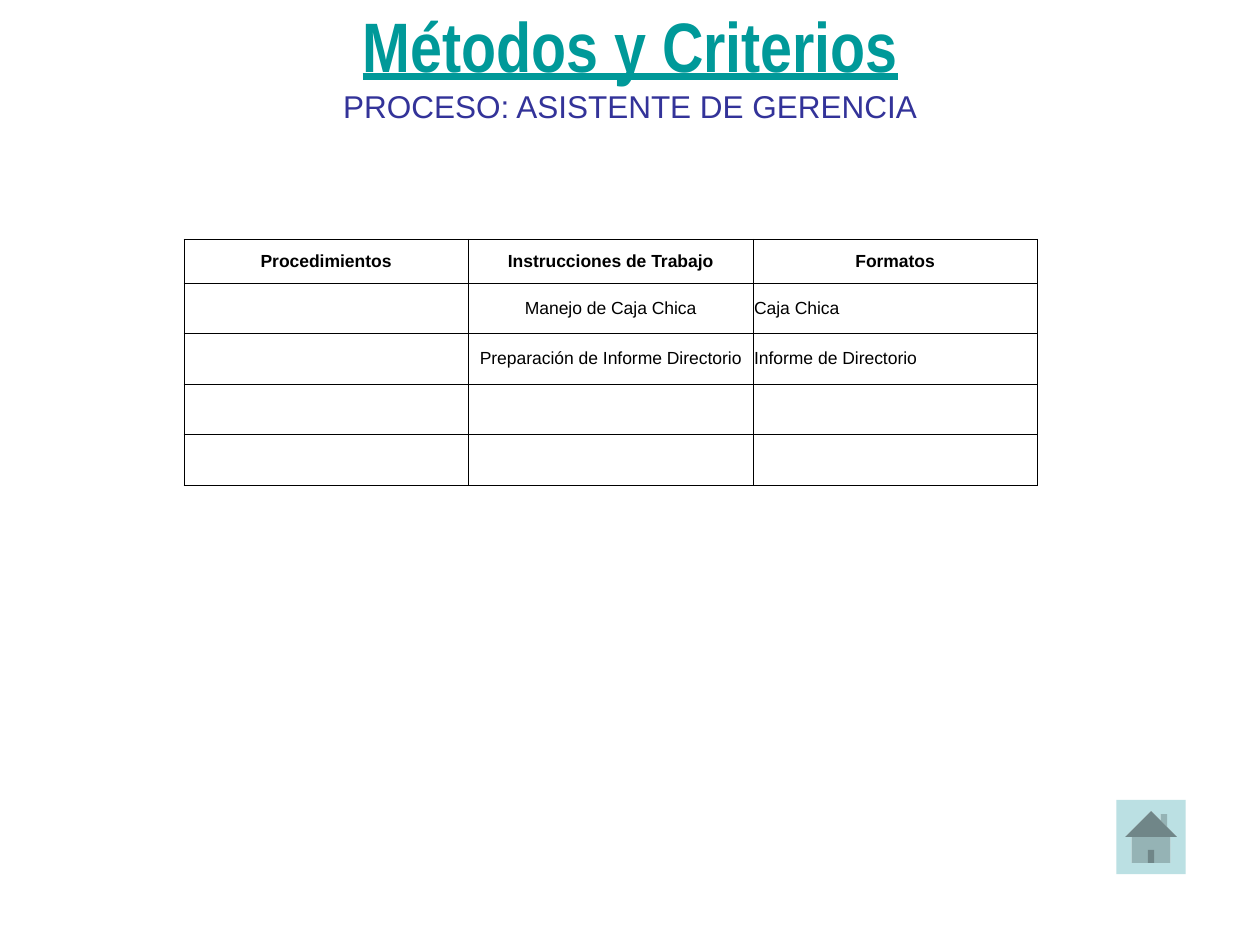
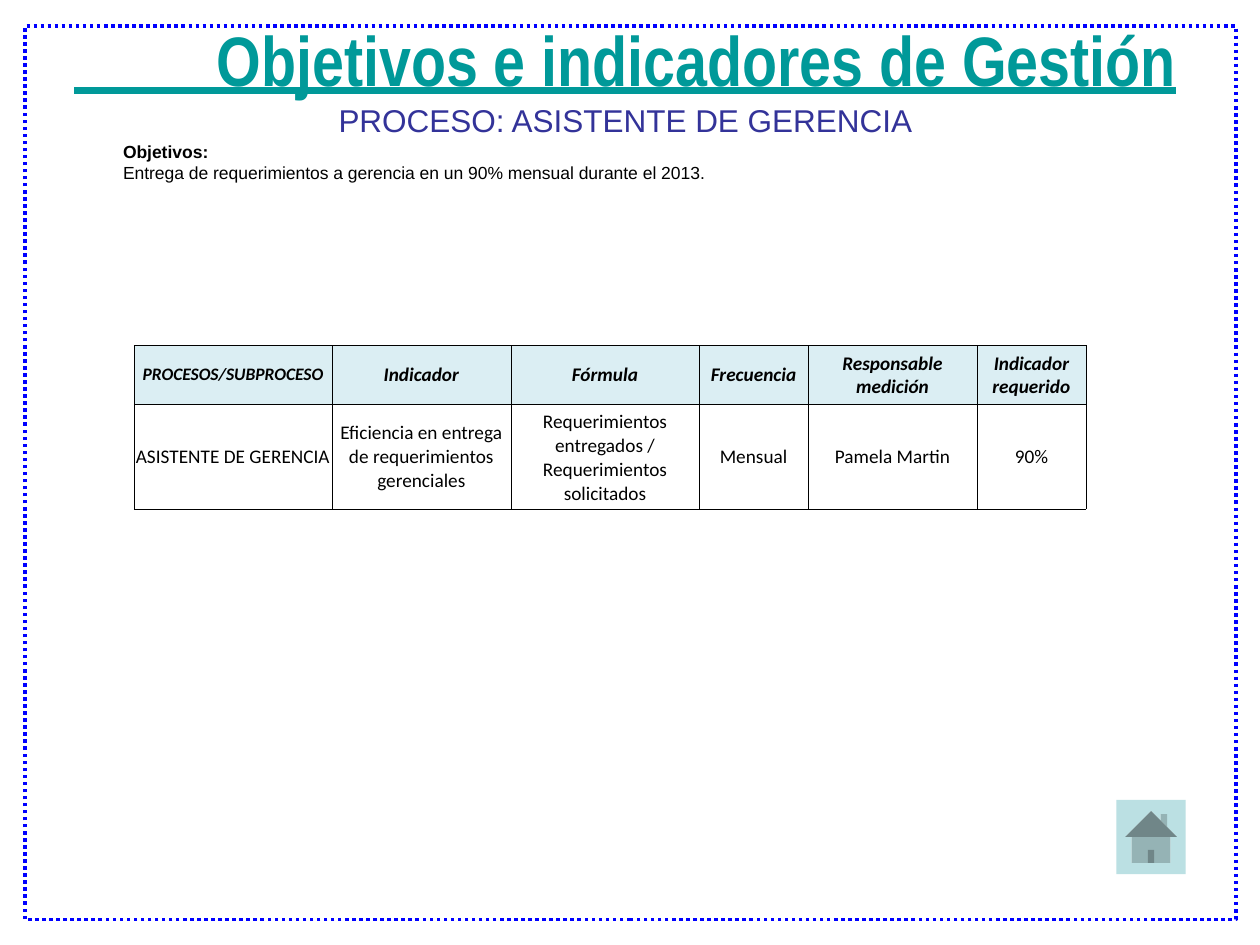
from dataclasses import dataclass

from lxml.etree import SubElement
from pptx import Presentation
from pptx.dml.color import RGBColor
from pptx.enum.dml import MSO_LINE
from pptx.enum.shapes import MSO_CONNECTOR, MSO_SHAPE
from pptx.enum.text import MSO_ANCHOR, MSO_AUTO_SIZE, PP_ALIGN
from pptx.oxml.ns import qn
from pptx.slide import Slide
from pptx.table import _Cell
from pptx.text.text import TextFrame, _Paragraph
from pptx.util import Pt

# Shared colours and sizes
TEAL = RGBColor(0x00, 0x99, 0x99)
INDIGO = RGBColor(0x33, 0x33, 0x99)
BLACK = RGBColor(0x00, 0x00, 0x00)
FRAME_BLUE = RGBColor(0x00, 0x00, 0xFF)
BUTTON_BLUE = RGBColor(0xBB, 0xE0, 0xE3)
HEADER_BLUE = RGBColor(0xDB, 0xEE, 0xF3)
PROCESS = "PROCESO: ASISTENTE DE GERENCIA"
HEADING_WIDTH = 692
BORDER_WIDTH = 0.23
CELL_SIDE_MARGIN = 0.72


@dataclass(frozen=True)
class Style:
    font: str
    size: float
    color: RGBColor = BLACK
    bold: bool = False
    italic: bool = False
    underline: bool = False


TITLE = Style("Arial Narrow", 40, TEAL, bold=True, underline=True)
SUBTITLE = Style("Arial", 18, INDIGO)
BODY = Style("Arial", 10)
BODY_BOLD = Style("Arial", 10, bold=True)
INDICATOR = Style("Calibri", 11)
INDICATOR_HEAD = Style("Calibri", 11, bold=True, italic=True)
PROCESS_HEAD = Style("Calibri", 10, bold=True, italic=True)


@dataclass(frozen=True)
class Entry:
    text: str
    style: Style
    align: PP_ALIGN = PP_ALIGN.CENTER


@dataclass(frozen=True)
class Grid:
    left: float
    top: float
    columns: list[float]
    rows: list[float]
    entries: list[list[Entry | None]]
    header_fill: RGBColor | None = None


def add_run(paragraph: _Paragraph, text: str, style: Style) -> None:
    run = paragraph.add_run()
    run.text = text
    font = run.font
    font.name, font.size = style.font, Pt(style.size)
    font.bold, font.italic = style.bold, style.italic
    font.underline = style.underline
    font.color.rgb = style.color


def add_text_frame(slide: Slide, left: float, top: float,
                   width: float, height: float) -> TextFrame:
    frame = slide.shapes.add_textbox(
        Pt(left), Pt(top), Pt(width), Pt(height)).text_frame
    frame.word_wrap = True
    return frame


def add_heading(slide: Slide, title: str, left: float, top: float,
                height: float, indent: float = 0) -> None:
    """Title over the process name, both resting on the bottom of the box."""
    frame = add_text_frame(slide, left, top, HEADING_WIDTH, height)
    frame.vertical_anchor = MSO_ANCHOR.BOTTOM
    title_line, process_line = frame.paragraphs[0], frame.add_paragraph()
    title_line.alignment = process_line.alignment = PP_ALIGN.CENTER
    if indent:
        properties = title_line._p.get_or_add_pPr()
        properties.set("marL", str(Pt(indent)))
        properties.set("indent", "0")
    add_run(title_line, title, TITLE)
    add_run(process_line, PROCESS, SUBTITLE)


def add_home_button(slide: Slide) -> None:
    button = slide.shapes.add_shape(
        MSO_SHAPE.ACTION_BUTTON_HOME, Pt(638), Pt(457), Pt(39.5), Pt(42.5))
    button.shadow.inherit = False
    button.fill.solid()
    button.fill.fore_color.rgb = BUTTON_BLUE
    button.line.fill.background()


def add_frame(slide: Slide) -> None:
    border = slide.shapes.add_shape(
        MSO_SHAPE.RECTANGLE, Pt(14.2), Pt(15), Pt(HEADING_WIDTH), Pt(510.4))
    border.shadow.inherit = False
    border.fill.background()
    border.line.color.rgb = FRAME_BLUE
    border.line.width = Pt(2)
    border.line.dash_style = MSO_LINE.ROUND_DOT


def add_rule(slide: Slide, left: float, right: float, y: float,
             width: float) -> None:
    rule = slide.shapes.add_connector(
        MSO_CONNECTOR.STRAIGHT, Pt(left), Pt(y), Pt(right), Pt(y))
    rule.line.color.rgb = TEAL
    rule.line.width = Pt(width)
    SubElement(rule._element.spPr, qn("a:effectLst"))


def add_borders(cell: _Cell) -> None:
    properties = cell._tc.get_or_add_tcPr()
    for side in ("lnL", "lnR", "lnT", "lnB"):
        line = SubElement(properties, qn(f"a:{side}"), w=str(Pt(BORDER_WIDTH)))
        fill = SubElement(line, qn("a:solidFill"))
        SubElement(fill, qn("a:srgbClr"), val=str(BLACK))


def add_grid(slide: Slide, grid: Grid) -> None:
    table = slide.shapes.add_table(
        len(grid.rows), len(grid.columns), Pt(grid.left), Pt(grid.top),
        Pt(sum(grid.columns)), Pt(sum(grid.rows))).table
    table.first_row = table.horz_banding = False
    for column, width in zip(table.columns, grid.columns):
        column.width = Pt(width)
    for row, height in zip(table.rows, grid.rows):
        row.height = Pt(height)
    for r, entries in enumerate(grid.entries):
        for c, entry in enumerate(entries):
            cell = table.cell(r, c)
            cell.margin_left = cell.margin_right = Pt(CELL_SIDE_MARGIN)
            cell.vertical_anchor = MSO_ANCHOR.MIDDLE
            add_borders(cell)
            if r == 0 and grid.header_fill is not None:
                cell.fill.solid()
                cell.fill.fore_color.rgb = grid.header_fill
            else:
                cell.fill.background()
            if entry:
                paragraph = cell.text_frame.paragraphs[0]
                paragraph.alignment = entry.align
                add_run(paragraph, entry.text, entry.style)


presentation = Presentation()
presentation.slide_width, presentation.slide_height = Pt(720), Pt(540)
blank = presentation.slide_layouts[6]

# Slide 1: methods and criteria
methods = presentation.slides.add_slide(blank)
add_home_button(methods)
add_heading(methods, "Métodos y Criterios", 14.2, 28, 46.8)
documents = [
    ("Manejo de Caja Chica", "Caja Chica"),
    ("Preparación de Informe Directorio", "Informe de Directorio"),
]
add_grid(methods, Grid(
    left=105, top=136.6,
    columns=[162.6] * 3,
    rows=[25.2] + [28.8] * 4,
    entries=[
        [Entry(text, BODY_BOLD) for text in
         ("Procedimientos", "Instrucciones de Trabajo", "Formatos")],
        *[[None, Entry(instruction, BODY), Entry(form, BODY, PP_ALIGN.LEFT)]
          for instruction, form in documents],
        [None] * 3,
        [None] * 3,
    ]))

# Slide 2: objectives and indicators
objectives = presentation.slides.add_slide(blank)
add_frame(objectives)
add_home_button(objectives)
add_heading(objectives, "Objetivos e indicadores de Gestión",
            11.5, 55.4, 27.4, indent=81)
# The title's underline reaches out to the left of its first word
add_rule(objectives, 42.3, 124.5, 51.7, 4)

indicators = [
    ("PROCESOS/SUBPROCESO", "ASISTENTE DE GERENCIA", 113),
    ("Indicador", "Eficiencia en entrega de requerimientos gerenciales", 102.4),
    ("Fórmula", "Requerimientos entregados / Requerimientos solicitados", 107.6),
    ("Frecuencia", "Mensual", 62.2),
    ("Responsable medición", "Pamela Martin", 96.6),
    ("Indicador requerido", "90%", 62.2),
]
add_grid(objectives, Grid(
    left=76.6, top=197.3,
    columns=[width for _, _, width in indicators],
    rows=[33.6, 60],
    entries=[
        [Entry(head, INDICATOR_HEAD if c else PROCESS_HEAD)
         for c, (head, _, _) in enumerate(indicators)],
        [Entry(value, INDICATOR) for _, value, _ in indicators],
    ],
    header_fill=HEADER_BLUE))

goal = add_text_frame(objectives, 63.2, 77, 572.4, 31.6)
goal.auto_size = MSO_AUTO_SIZE.SHAPE_TO_FIT_TEXT
add_run(goal.paragraphs[0], "Objetivos:", BODY_BOLD)
add_run(goal.add_paragraph(),
        "Entrega de requerimientos a gerencia en un 90% mensual "
        "durante el 2013.", BODY)

presentation.save("out.pptx")
